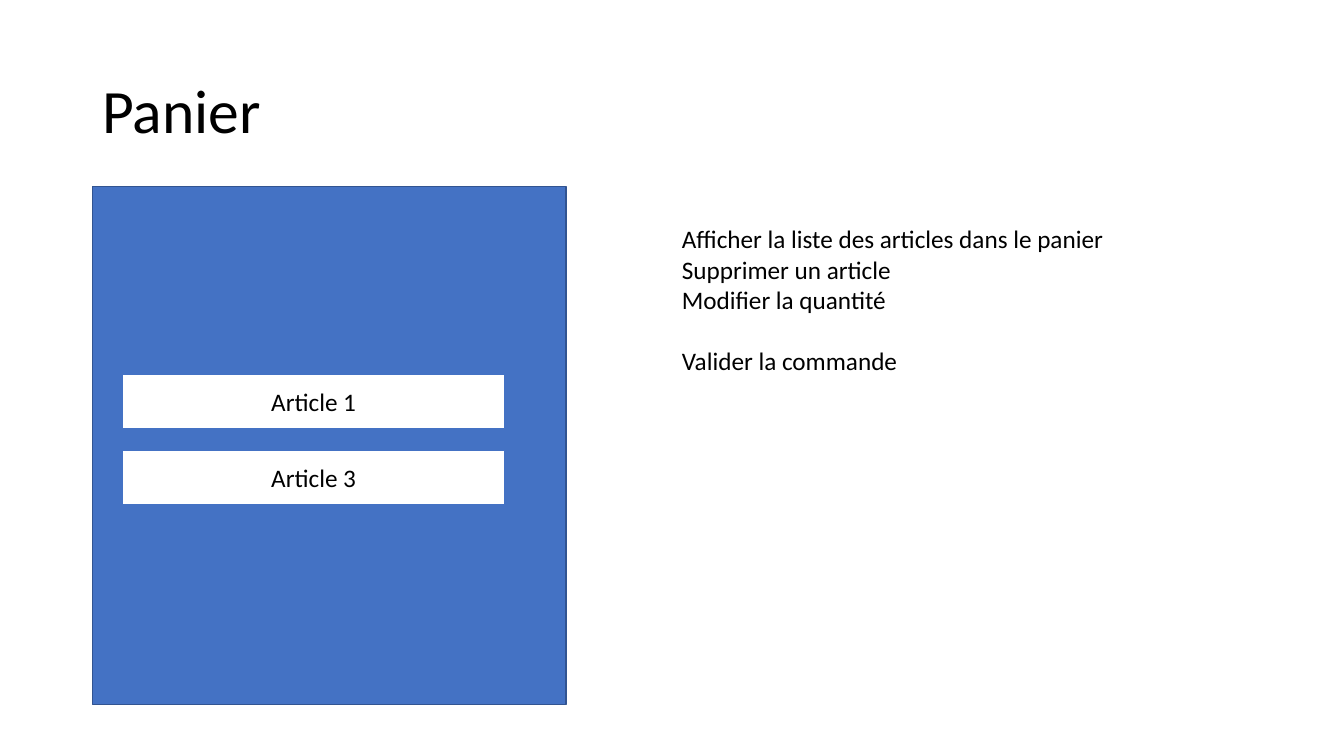
import pptx
import pptx.dml.color
import pptx.enum.shapes
import pptx.enum.text
import pptx.util

Pt = pptx.util.Pt
ANCHOR = pptx.enum.text.MSO_ANCHOR
ALIGN = pptx.enum.text.PP_ALIGN
COLOURS = {"text": "000000", "panel": "4472C4", "edge": "325491", "article": "FFFFFF"}


def colour(name):
    """Return the named colour."""
    return pptx.dml.color.RGBColor.from_string(COLOURS[name])


def write(frame, text, size=18, align=ALIGN.LEFT, anchor=ANCHOR.TOP, wrap=True, spacing=None, gaps=()):
    """Write each line as a paragraph, with a gap before the listed line numbers."""
    frame.word_wrap = wrap
    frame.vertical_anchor = anchor
    for number, line in enumerate(text.split("\n")):
        para = frame.add_paragraph() if number else frame.paragraphs[0]
        para.alignment = align
        para.line_spacing = spacing
        if number in gaps:
            para.space_before = Pt(22)
        span = para.add_run()
        span.text = line
        span.font.name = "Calibri"
        span.font.size = Pt(size)
        span.font.color.rgb = colour("text")


def add_text(page, left, top, width, height, text, **style):
    """Add a text box and return it."""
    box = page.shapes.add_textbox(Pt(left), Pt(top), Pt(width), Pt(height))
    write(box.text_frame, text, **style)
    return box


def add_block(page, left, top, width, height, fill, edge):
    """Add a filled rectangle with a thin outline and return it."""
    kind = pptx.enum.shapes.MSO_SHAPE.RECTANGLE
    block = page.shapes.add_shape(kind, Pt(left), Pt(top), Pt(width), Pt(height))
    block.shadow.inherit = False
    block.fill.solid()
    block.fill.fore_color.rgb = colour(fill)
    block.line.color.rgb = colour(edge)
    block.line.width = Pt(1)
    return block


def add_cart(page, left, top, width, height, articles):
    """Draw the cart panel with its rows of articles."""
    add_block(page, left, top, width, height, "panel", "edge")
    for row, article in enumerate(articles):
        block = add_block(page, left + 21.6, top + 134 + row * 54.7, 272.9, 38.9, "article", "panel")
        write(block.text_frame, article, align=ALIGN.CENTER, anchor=ANCHOR.MIDDLE)


def add_actions(page, left, top, width, height):
    """List what the user can do in the cart."""
    text = (
        "Afficher la liste des articles dans le panier\n"
        "Supprimer un article\n"
        "Modifier la quantité\n"
        "Valider la commande"
    )
    box = add_text(page, left, top, width, height, text, wrap=False, gaps=(3,))
    box.text_frame.auto_size = pptx.enum.text.MSO_AUTO_SIZE.SHAPE_TO_FIT_TEXT


def main():
    """Build and save the deck."""
    deck = pptx.Presentation()
    deck.slide_width, deck.slide_height = Pt(960), Pt(540)
    page = deck.slides.add_slide(deck.slide_layouts[6])
    add_text(page, 66, 28.8, 828, 104.4, "Panier", size=44, anchor=ANCHOR.MIDDLE, spacing=0.9)
    add_cart(page, 66, 133.2, 338.4, 370, ["Article 1", "Article 3"])
    add_actions(page, 480, 156.2, 319.7, 116.6)
    deck.save("out.pptx")


if __name__ == "__main__":
    main()
